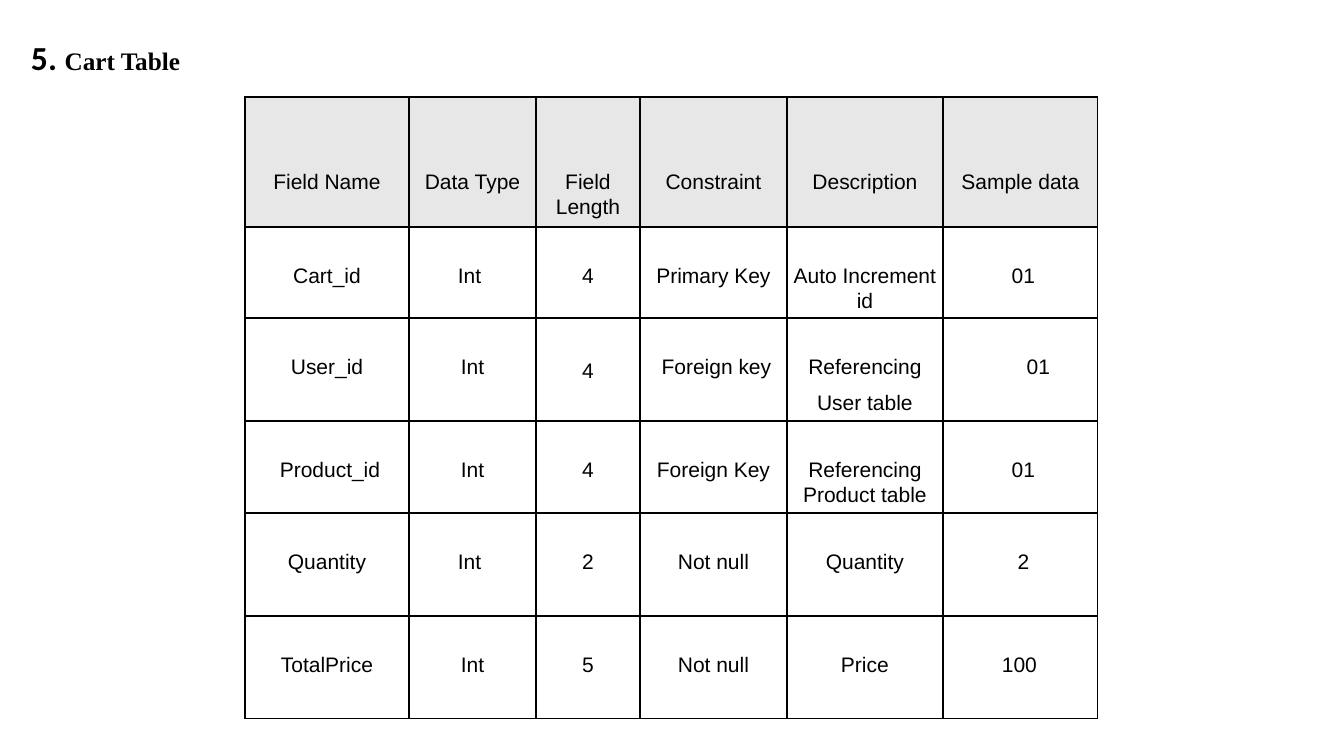
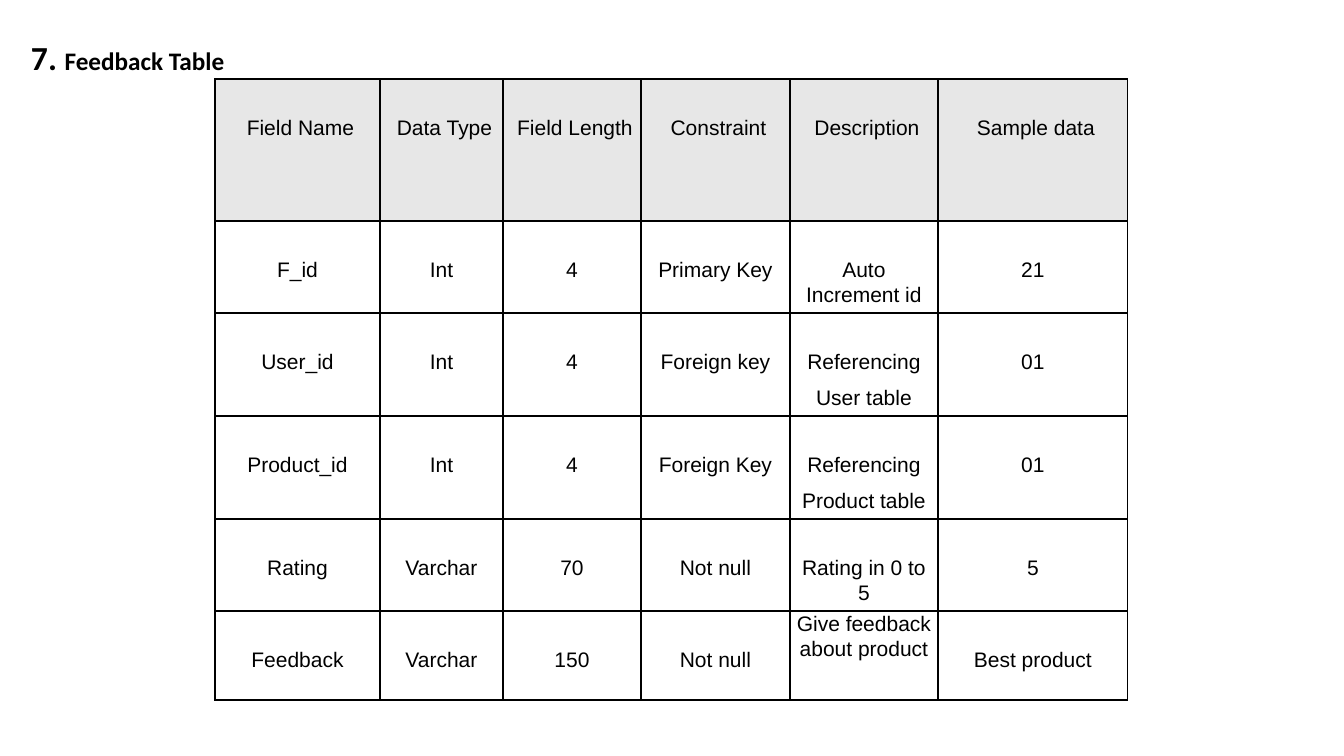
from pptx import Presentation
from pptx import util as u
from pptx.dml.color import RGBColor
from pptx.enum import text
from pptx.oxml import parse_xml
from pptx.oxml.ns import nsdecls

PX = 12700 * 72 / 100.8
BLACK, WHITE, HEADER = "000000", "FFFFFF", "E7E7E7"
CELL_INSET = 4
LINE_DROP = 36


def px(n):
    return u.Emu(round(n * PX))


def style(font, name, size, bold=False, color=BLACK):
    font.name = name
    font.size = u.Pt(size)
    font.bold = bold
    font.color.rgb = RGBColor.from_string(color)


pages = [
    {
        "number": "5. ", "title": "Cart Table", "title_font": "Times New Roman",
        "left": 245, "top": 97,
        "cols": [164, 127, 104, 147, 156, 155],
        "heights": [130, 91, 103, 92, 103, 103],
        "rows": [
            ["Field Name", "Data Type", "Field Length", "Constraint", "Description", "Sample data"],
            ["Cart_id", "Int", "4", "Primary Key", "Auto Increment id", "01"],
            ["User_id", "Int", "4", "Foreign key", "Referencing\nUser table", "01"],
            ["Product_id", "Int", "4", "Foreign Key", "Referencing Product table", "01"],
            ["Quantity", "Int", "2", "Not null", "Quantity", "2"],
            ["TotalPrice", "Int", "5", "Not null", "Price", "100"],
        ],
        "shifts": {(1, 1): -3, (1, 5): 3, (2, 3): 3, (2, 5): 18, (3, 0): 3,
                   (3, 5): 3, (4, 1): -3, (4, 5): 3, (5, 5): -1},
        "drops": {**{(0, c): 2 * LINE_DROP for c in range(6)}, (2, 2): 40},
    },
    {
        "number": "7. ", "title": "Feedback Table", "title_font": "Calibri",
        "left": 215, "top": 79,
        "cols": [165, 123, 138, 149, 148, 190],
        "heights": [142, 92, 103, 103, 92, 89],
        "rows": [
            ["Field Name", "Data Type", "Field Length", "Constraint", "Description", "Sample data"],
            ["F_id", "Int", "4", "Primary Key", "Auto Increment id", "21"],
            ["User_id", "Int", "4", "Foreign key", "Referencing\nUser table", "01"],
            ["Product_id", "Int", "4", "Foreign Key", "Referencing\nProduct table", "01"],
            ["Rating", "Varchar", "70", "Not null", "Rating in 0 to 5", "5"],
            ["Feedback", "Varchar", "150", "Not null", "Give feedback about product", "Best product"],
        ],
        "shifts": {(0, c): 3 for c in range(6)},
        "drops": {(5, 4): 0},
    },
]

prs = Presentation()
prs.slide_width, prs.slide_height = px(1344), px(756)

for page in pages:
    s = prs.slides.add_slide(prs.slide_layouts[6])

    tf = s.shapes.add_textbox(px(21), px(16), px(705), px(103)).text_frame
    tf.word_wrap = True
    tf.margin_left = tf.margin_right = px(10)
    tf.margin_top, tf.margin_bottom = px(21), 0
    p = tf.paragraphs[0]
    for words, name, size in [(page["number"], "Calibri", 24),
                              (page["title"], page["title_font"], 18)]:
        r = p.add_run()
        r.text = words
        style(r.font, name, size, bold=True)

    cols, heights, rows = page["cols"], page["heights"], page["rows"]
    table = s.shapes.add_table(len(rows), len(cols), px(page["left"]), px(page["top"]),
                               px(sum(cols)), px(sum(heights))).table
    table.horz_banding = False
    for column, width in zip(table.columns, cols):
        column.width = px(width)

    for i, row in enumerate(rows):
        table.rows[i].height = px(heights[i])
        for j, words in enumerate(row):
            cell = table.cell(i, j)
            shift = page["shifts"].get((i, j), 0)
            cell.margin_left = px(CELL_INSET + max(2 * shift, 0))
            cell.margin_right = px(CELL_INSET + max(-2 * shift, 0))
            cell.margin_top = px(page["drops"].get((i, j), LINE_DROP))
            cell.margin_bottom = 0
            cell.text_frame.text = words
            for k, p in enumerate(cell.text_frame.paragraphs):
                p.alignment = text.PP_ALIGN.CENTER
                p.line_spacing = 1.07
                if k:
                    p.space_before = u.Pt(8)
                for r in p.runs:
                    style(r.font, "Arial", 15)
            tcPr = cell._tc.get_or_add_tcPr()
            for side in ("lnL", "lnR", "lnT", "lnB"):
                tcPr.append(parse_xml(
                    f'<a:{side} {nsdecls("a")} w="12700"><a:solidFill>'
                    f'<a:srgbClr val="{BLACK}"/></a:solidFill></a:{side}>'))
            cell.fill.solid()
            cell.fill.fore_color.rgb = RGBColor.from_string(WHITE if i else HEADER)

prs.save("out.pptx")
